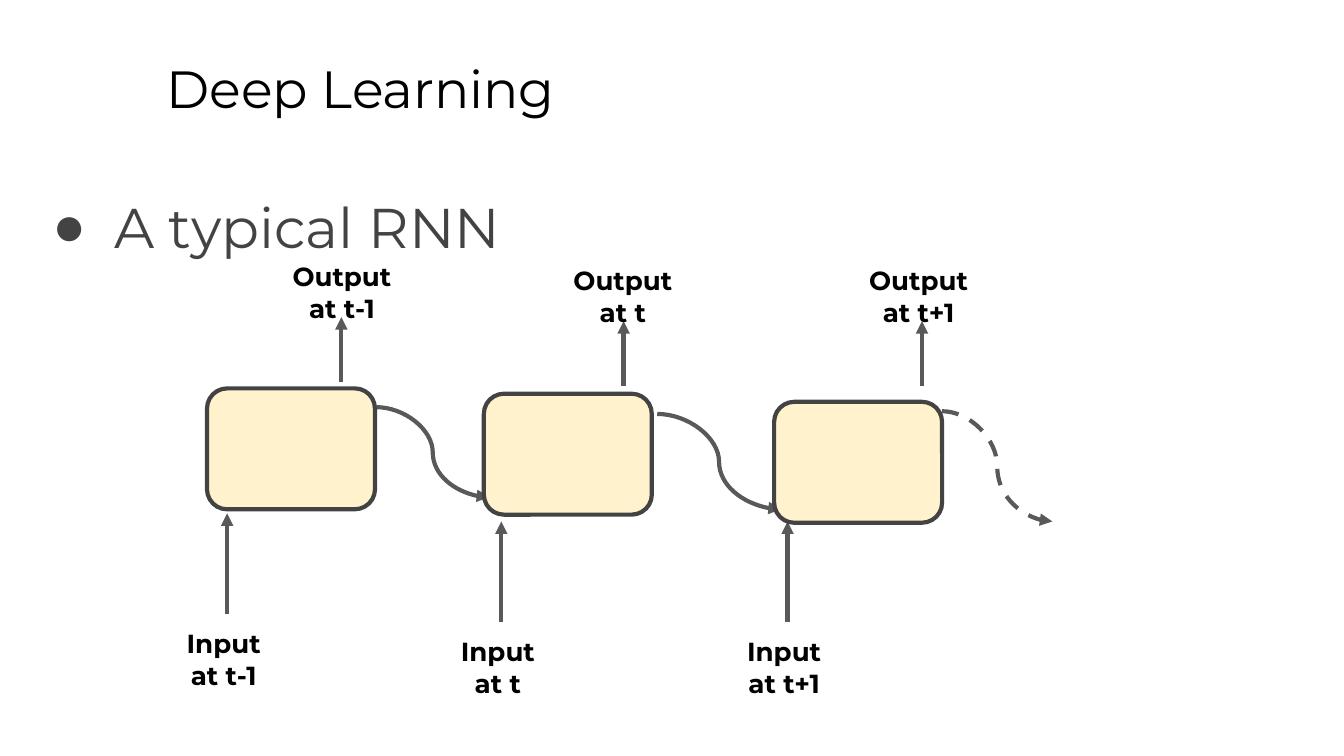
from dataclasses import dataclass

from lxml.etree import SubElement
from pptx import Presentation
from pptx.dml.color import RGBColor
from pptx.enum.dml import MSO_LINE
from pptx.enum.shapes import MSO_CONNECTOR, MSO_SHAPE
from pptx.enum.text import MSO_ANCHOR, MSO_AUTO_SIZE, PP_ALIGN
from pptx.oxml.ns import qn
from pptx.shapes.connector import Connector
from pptx.slide import Slide
from pptx.text.text import TextFrame, _Paragraph
from pptx.util import Inches, Pt

COLORS = {"black": "000000", "dark": "434343", "arrow": "595959", "cell": "FFF2CC"}
FONT = "Montserrat"
CELL_W, CELL_H = 1.25, 0.9
LABEL_W, LABEL_H = 0.97, 0.37
OUTPUT_ARROW, INPUT_ARROW = 0.48, 0.75
OUTPUT_LABEL_RISE, INPUT_LABEL_SHIFT = 0.52, 0.51


@dataclass
class Step:
    """One time step; lengths in inches."""
    output_label: str
    input_label: str
    cell: tuple[float, float]
    output_tip: tuple[float, float]
    output_label_x: float
    input_start: tuple[float, float]


@dataclass
class Curve:
    start: tuple[float, float]
    end: tuple[float, float]
    dashed: bool = False


STEPS = [
    Step("Output at t-1", "Input\nat t-1", (1.54, 2.89), (2.54, 2.36), 2.06, (1.69, 4.57)),
    Step("Output at t", "Input at t", (3.6, 2.93), (4.64, 2.39), 4.15, (3.73, 4.63)),
    Step("Output at t+1", "Input at t+1", (5.76, 2.99), (6.86, 2.39), 6.35, (5.86, 4.63)),
]
CURVES = [
    Curve((2.8, 3.03), (3.64, 3.7)),
    Curve((4.89, 3.08), (5.81, 3.79)),
    Curve((7.01, 3.06), (7.83, 3.88), dashed=True),
]


def rgb(name: str) -> RGBColor:
    return RGBColor.from_string(COLORS[name])


def add_run(p: _Paragraph, text: str, size: float, color: str, bold: bool = False) -> None:
    r = p.add_run()
    r.text = text
    r.font.name = FONT
    r.font.size = Pt(size)
    r.font.bold = bold
    r.font.color.rgb = rgb(color)


def set_frame(tf: TextFrame) -> None:
    """Wrap at a fixed size, from the top, with equal insets."""
    tf.word_wrap = True
    tf.auto_size = MSO_AUTO_SIZE.NONE
    tf.vertical_anchor = MSO_ANCHOR.TOP
    tf.margin_left = tf.margin_right = tf.margin_top = tf.margin_bottom = Inches(0.1)


def fill_placeholder(s: Slide, idx: int, box: tuple[float, float, float, float],
                     text: str, size: float, color: str) -> _Paragraph:
    sp = s.placeholders[idx]
    sp.left, sp.top, sp.width, sp.height = map(Inches, box)
    set_frame(sp.text_frame)
    p = sp.text_frame.paragraphs[0]
    p.alignment = PP_ALIGN.LEFT
    p.space_before = Pt(0)
    add_run(p, text, size, color)
    return p


def add_bullet(p: _Paragraph, color: str) -> None:
    pPr = p._p.get_or_add_pPr()
    pPr.set("marL", str(Inches(0.5)))
    pPr.set("indent", str(Inches(-0.46)))
    bu_clr = SubElement(pPr, qn("a:buClr"))
    SubElement(bu_clr, qn("a:srgbClr"), val=COLORS[color])
    SubElement(pPr, qn("a:buChar"), char="●")


def add_label(s: Slide, x: float, y: float, text: str) -> None:
    """A centred label, one paragraph for each line of the text."""
    sp = s.shapes.add_textbox(Inches(x), Inches(y), Inches(LABEL_W), Inches(LABEL_H))
    tf = sp.text_frame
    set_frame(tf)
    for i, line in enumerate(text.split("\n")):
        p = tf.add_paragraph() if i else tf.paragraphs[0]
        p.alignment = PP_ALIGN.CENTER
        add_run(p, line, 14, "black", bold=True)


def add_arrow(s: Slide, start: tuple[float, float], end: tuple[float, float],
              kind: MSO_CONNECTOR = MSO_CONNECTOR.STRAIGHT) -> Connector:
    cx = s.shapes.add_connector(kind, *map(Inches, start + end))
    cx.line.color.rgb = rgb("arrow")
    cx.line.width = Pt(2.25)
    SubElement(cx.line._get_or_add_ln(), qn("a:tailEnd"), type="triangle")
    SubElement(cx._element.spPr, qn("a:effectLst"))
    return cx


def add_step_arrows(s: Slide, step: Step) -> None:
    """Arrows and labels for the input and output of one step."""
    x, y = step.output_tip
    add_arrow(s, (x, y + OUTPUT_ARROW), (x, y))
    add_label(s, step.output_label_x, y - OUTPUT_LABEL_RISE, step.output_label)
    x, y = step.input_start
    add_arrow(s, (x, y), (x, y - INPUT_ARROW))
    add_label(s, x - INPUT_LABEL_SHIFT, y, step.input_label)


def add_curve(s: Slide, curve: Curve) -> None:
    cx = add_arrow(s, curve.start, curve.end, MSO_CONNECTOR.CURVE)
    if curve.dashed:
        cx.line.dash_style = MSO_LINE.DASH


def add_cell(s: Slide, step: Step) -> None:
    sp = s.shapes.add_shape(MSO_SHAPE.ROUNDED_RECTANGLE,
                            *map(Inches, step.cell + (CELL_W, CELL_H)))
    sp.shadow.inherit = False
    sp.fill.solid()
    sp.fill.fore_color.rgb = rgb("cell")
    sp.line.color.rgb = rgb("dark")
    sp.line.width = Pt(2.25)


def main() -> None:
    prs = Presentation()
    prs.slide_width = Inches(10)
    prs.slide_height = prs.slide_width * 9 // 16
    s = prs.slides.add_slide(prs.slide_layouts[1])

    fill_placeholder(s, 0, (1.14, 0.32, 8.52, 0.63), "Deep Learning", 28, "black")
    p = fill_placeholder(s, 1, (0.25, 1.26, 9.75, 3.74), "A typical RNN", 30, "dark")
    p.line_spacing = 1.15
    add_bullet(p, "dark")

    for step in STEPS:
        add_step_arrows(s, step)
    for curve in CURVES:
        add_curve(s, curve)
    for step in STEPS:
        add_cell(s, step)

    prs.save("out.pptx")


if __name__ == "__main__":
    main()
